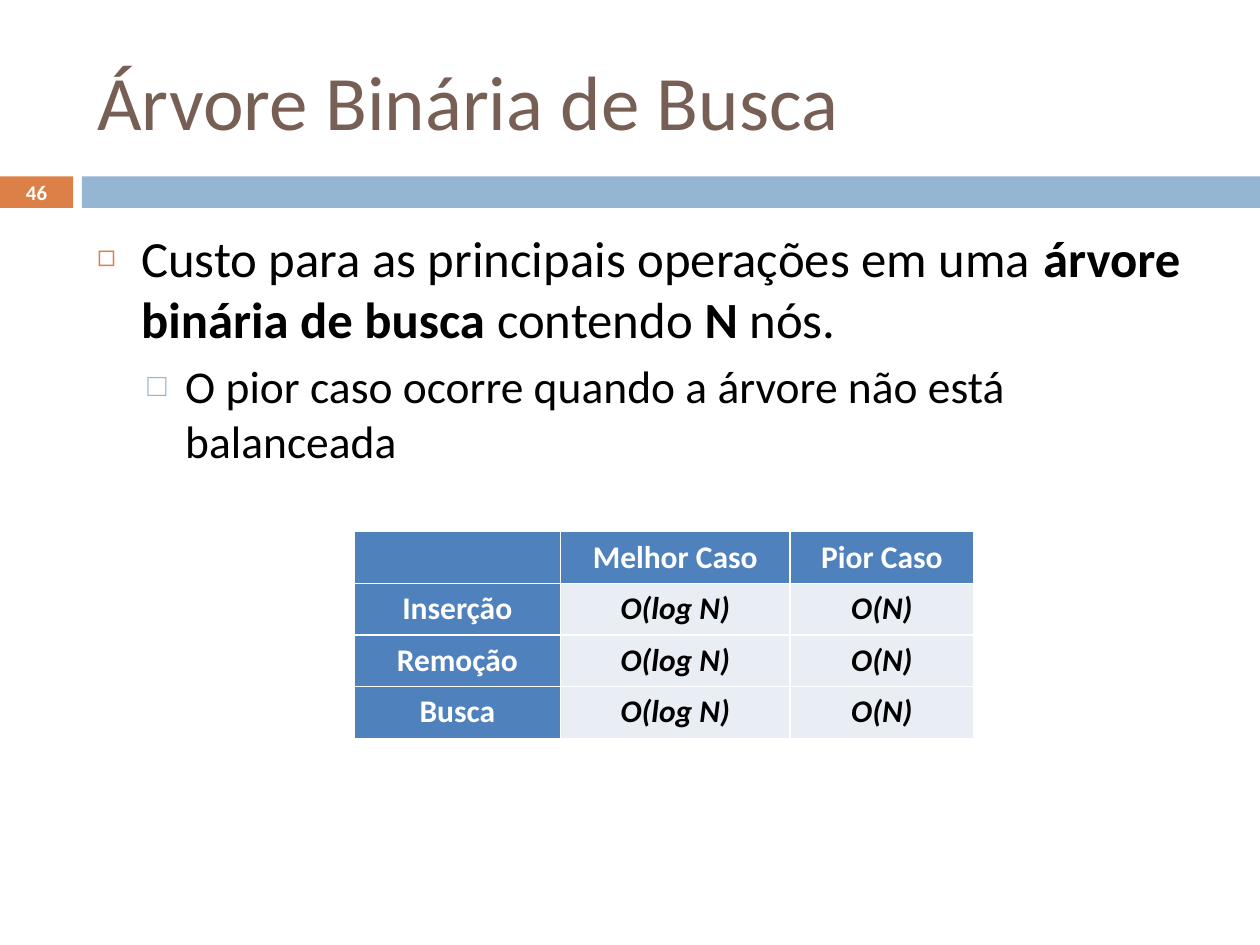
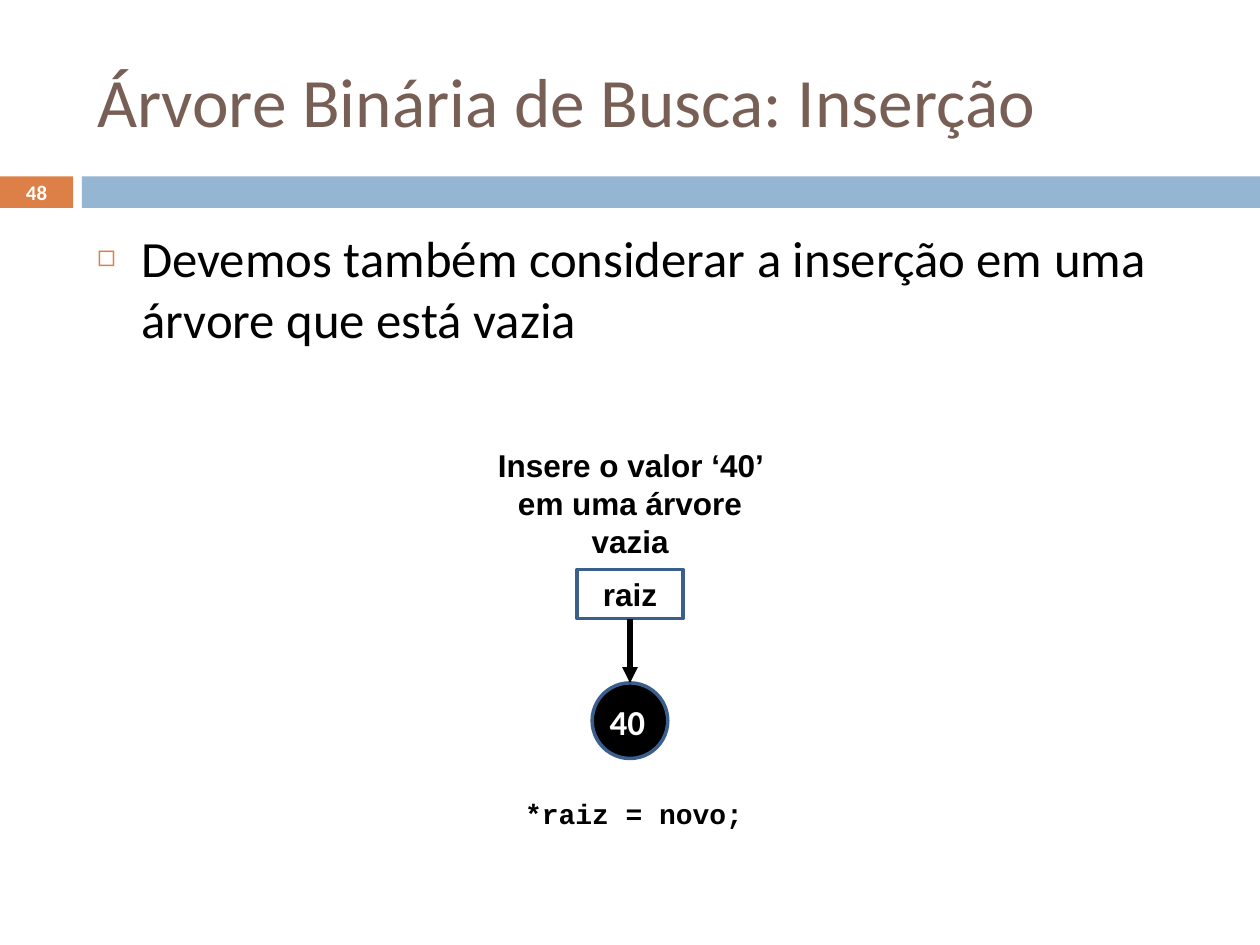
from dataclasses import dataclass

import lxml.etree
import pptx
import pptx.dml.color
import pptx.enum.shapes
import pptx.enum.text
import pptx.oxml
import pptx.oxml.ns
import pptx.util

Inches = pptx.util.Inches
Pt = pptx.util.Pt
qn = pptx.oxml.ns.qn
ALIGN = pptx.enum.text.PP_ALIGN
ANCHOR = pptx.enum.text.MSO_ANCHOR
SHAPES = pptx.enum.shapes.MSO_SHAPE

ORANGE, BLUE, BROWN = "DD8047", "94B6D2", "775F55"
BLACK, WHITE, OUTLINE = "000000", "FFFFFF", "3A5F8C"
HEADER_FILL, CELL_FILL = "4F81BD", "E9EDF4"


@dataclass(frozen=True)
class Box:
    left: float
    top: float
    width: float
    height: float

    def lengths(self) -> tuple:
        return tuple(Inches(v) for v in (self.left, self.top, self.width, self.height))


@dataclass(frozen=True)
class Level:
    size: float
    margin: float
    hanging: float
    space_before: float
    bullet: str
    bullet_color: str
    bullet_percent: int


@dataclass(frozen=True)
class Item:
    level: int
    runs: tuple


LEVELS = (
    Level(29, 0.35, 0.35, 7, "◻", ORANGE, 60),
    Level(26, 0.7, 0.3, 5.5, "□", BLUE, 70),
)
TITLE_BOX = Box(0.67, 0.25, 8.92, 1.08)
BODY_BOX = Box(0.67, 1.75, 8.92, 4.92)
NUMBER_BOX = Box(0, 1.39, 0.58, 0.27)
BANDS = ((Box(0, 1.4, 0.58, 0.25), ORANGE), (Box(0.65, 1.4, 9.35, 0.25), BLUE))


def rgb(value: str):
    return pptx.dml.color.RGBColor.from_string(value)


def write(paragraph, text: str, *, size: float, color: str = BLACK, font: str = "Calibri",
          bold: bool = False, italic: bool = False, align=ALIGN.LEFT) -> None:
    paragraph.alignment = align
    run = paragraph.add_run()
    run.text = text
    run.font.size = Pt(size)
    run.font.name = font
    run.font.bold = bold
    run.font.italic = italic
    run.font.color.rgb = rgb(color)


def add_shape(slide, kind, box: Box, fill: str | None = None, line: str | None = None):
    shape = slide.shapes.add_shape(kind, *box.lengths())
    shape.shadow.inherit = False
    if fill:
        shape.fill.solid()
        shape.fill.fore_color.rgb = rgb(fill)
    else:
        shape.fill.background()
    if line:
        shape.line.color.rgb = rgb(line)
        shape.line.width = Pt(2)
    else:
        shape.line.fill.background()
    return shape


def add_label(slide, box: Box, text: str, *, wrap: bool = True, anchor=ANCHOR.TOP, **style) -> None:
    frame = slide.shapes.add_textbox(*box.lengths()).text_frame
    frame.word_wrap = wrap
    frame.vertical_anchor = anchor
    write(frame.paragraphs[0], text, **style)


def place(placeholder, box: Box, anchor):
    placeholder.left, placeholder.top, placeholder.width, placeholder.height = box.lengths()
    frame = placeholder.text_frame
    frame.auto_size = pptx.enum.text.MSO_AUTO_SIZE.NONE
    frame.vertical_anchor = anchor
    return frame


def add_bullet(paragraph, level: Level) -> None:
    properties = paragraph._p.get_or_add_pPr()
    properties.set("marL", str(Inches(level.margin)))
    properties.set("indent", str(-Inches(level.hanging)))
    color = lxml.etree.SubElement(properties, qn("a:buClr"))
    lxml.etree.SubElement(color, qn("a:srgbClr"), val=level.bullet_color)
    lxml.etree.SubElement(properties, qn("a:buSzPct"), val=str(level.bullet_percent * 1000))
    lxml.etree.SubElement(properties, qn("a:buChar"), char=level.bullet)


def add_topic_slide(deck, title: str, title_size: float, number: int, items: list[Item]):
    slide = deck.slides.add_slide(deck.slide_layouts[1])
    for box, color in BANDS:
        add_shape(slide, SHAPES.RECTANGLE, box, color)
    heading = place(slide.shapes.title, TITLE_BOX, ANCHOR.MIDDLE)
    write(heading.paragraphs[0], title, size=title_size, color=BROWN)
    add_label(slide, NUMBER_BOX, str(number), anchor=ANCHOR.MIDDLE, size=11.9,
              color=WHITE, bold=True, align=ALIGN.CENTER)
    body = place(slide.placeholders[1], BODY_BOX, ANCHOR.TOP)
    for index, item in enumerate(items):
        level = LEVELS[item.level]
        paragraph = body.add_paragraph() if index else body.paragraphs[0]
        paragraph.level = item.level
        add_bullet(paragraph, level)
        paragraph.space_before = Pt(level.space_before if index else 0)
        for text, bold in item.runs:
            write(paragraph, text, size=level.size, bold=bold)
    return slide


def add_cell_borders(cell) -> None:
    properties = cell._tc.get_or_add_tcPr()
    for position, side in enumerate(("lnL", "lnR", "lnT", "lnB")):
        border = lxml.etree.Element(qn(f"a:{side}"), w=str(Pt(1)))
        fill = lxml.etree.SubElement(border, qn("a:solidFill"))
        lxml.etree.SubElement(fill, qn("a:srgbClr"), val=WHITE)
        properties.insert(position, border)


def add_cost_table(slide) -> None:
    costs = [("", "Melhor Caso", "Pior Caso")]
    costs += [(operation, "O(log N)", "O(N)") for operation in ("Inserção", "Remoção", "Busca")]
    widths = (1.64, 1.82, 1.46)
    row_height = 0.41
    box = Box(2.81, 4.22, sum(widths), row_height * len(costs))
    table = slide.shapes.add_table(len(costs), len(widths), *box.lengths()).table
    for column, width in zip(table.columns, widths):
        column.width = Inches(width)
    for row_index, row in enumerate(costs):
        table.rows[row_index].height = Inches(row_height)
        for column_index, text in enumerate(row):
            is_header = row_index == 0 or column_index == 0
            cell = table.cell(row_index, column_index)
            cell.fill.solid()
            cell.fill.fore_color.rgb = rgb(HEADER_FILL if is_header else CELL_FILL)
            add_cell_borders(cell)
            if text:
                write(cell.text_frame.paragraphs[0], text, size=18, bold=True, italic=not is_header,
                      color=WHITE if is_header else BLACK, align=ALIGN.CENTER)


def add_arrow(slide, source, target) -> None:
    arrow = slide.shapes.add_connector(pptx.enum.shapes.MSO_CONNECTOR.STRAIGHT, 0, 0, 0, 0)
    arrow.begin_connect(source, 2)
    arrow.end_connect(target, 0)
    arrow.line.color.rgb = rgb(BLACK)
    arrow.line.width = Pt(3)
    lxml.etree.SubElement(arrow.line._get_or_add_ln(), qn("a:tailEnd"), type="triangle")
    lxml.etree.SubElement(arrow._element.spPr, qn("a:effectLst"))


def add_insertion_diagram(slide) -> None:
    node = add_shape(slide, SHAPES.OVAL, Box(4.7, 5.42, 0.6, 0.6), BLACK, OUTLINE)
    root = add_shape(slide, SHAPES.RECTANGLE, Box(4.58, 4.52, 0.84, 0.39), line=OUTLINE)
    root.text_frame.vertical_anchor = ANCHOR.MIDDLE
    caption = dict(size=18, font="Arial", bold=True, align=ALIGN.CENTER)
    write(root.text_frame.paragraphs[0], "raiz", **caption)
    add_arrow(slide, root, node)
    add_label(slide, Box(4.74, 5.51, 0.51, 0.44), "40", wrap=False, size=20, color=WHITE, bold=True)
    add_label(slide, Box(4.07, 6.27, 1.95, 0.37), "*raiz = novo;", wrap=False,
              size=16, font="Courier New", bold=True)
    add_label(slide, Box(3.74, 3.49, 2.52, 1.01), "Insere o valor ‘40’ em uma árvore vazia", **caption)


def main() -> None:
    deck = pptx.Presentation()
    deck.slide_width, deck.slide_height = Inches(10), Inches(7.5)

    cost_slide = add_topic_slide(deck, "Árvore Binária de Busca", 44, 46, [
        Item(0, (("Custo para as principais operações em uma ", False),
                 ("árvore binária de busca", True), (" contendo ", False),
                 ("N ", True), ("nós.", False))),
        Item(1, (("O pior caso ocorre quando a árvore não está balanceada", False),)),
    ])
    add_cost_table(cost_slide)

    insertion_slide = add_topic_slide(deck, "Árvore Binária de Busca: Inserção", 39.6, 48, [
        Item(0, (("Devemos também considerar a inserção em uma árvore que está vazia", False),)),
    ])
    add_insertion_diagram(insertion_slide)

    deck.save("out.pptx")


if __name__ == "__main__":
    main()
